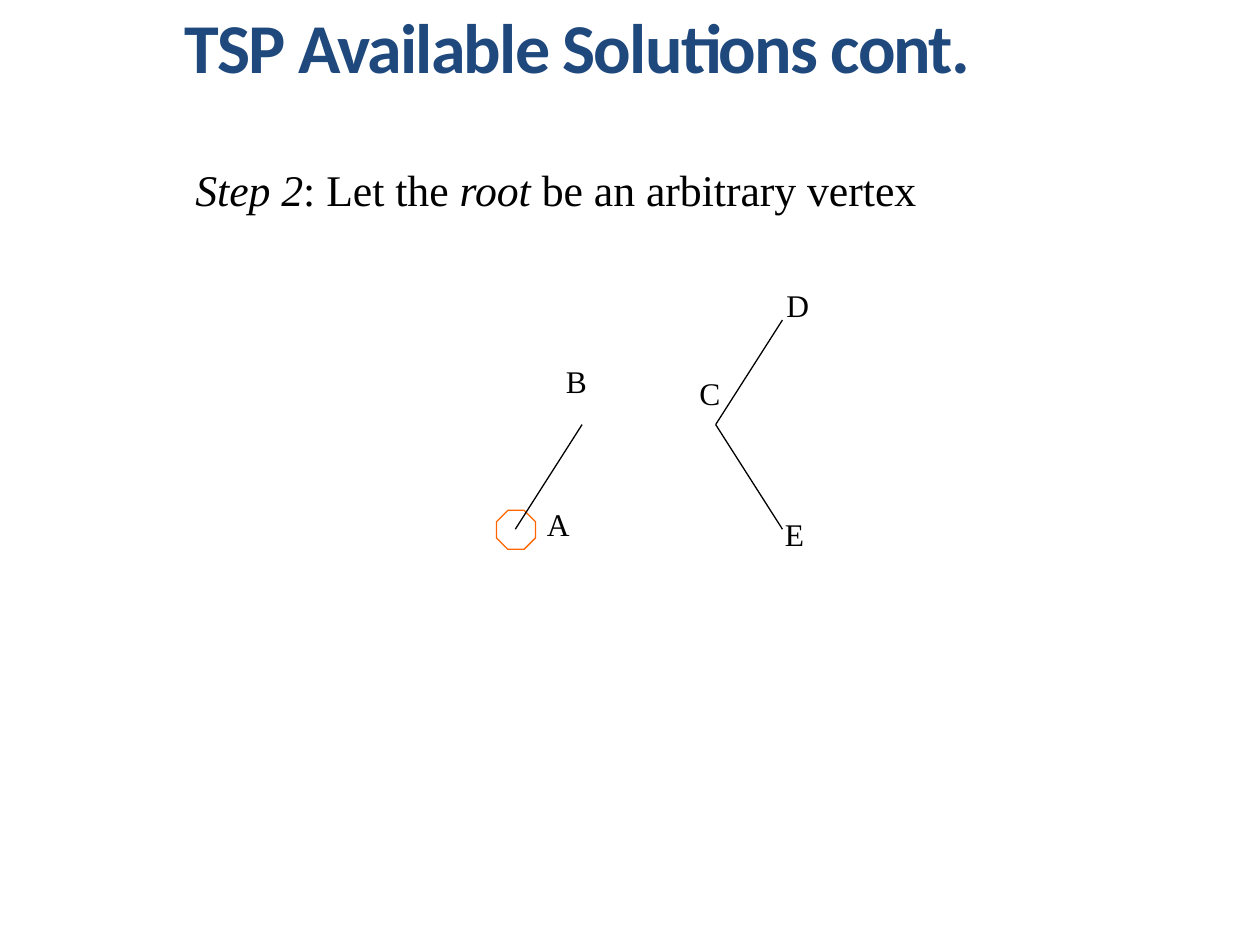
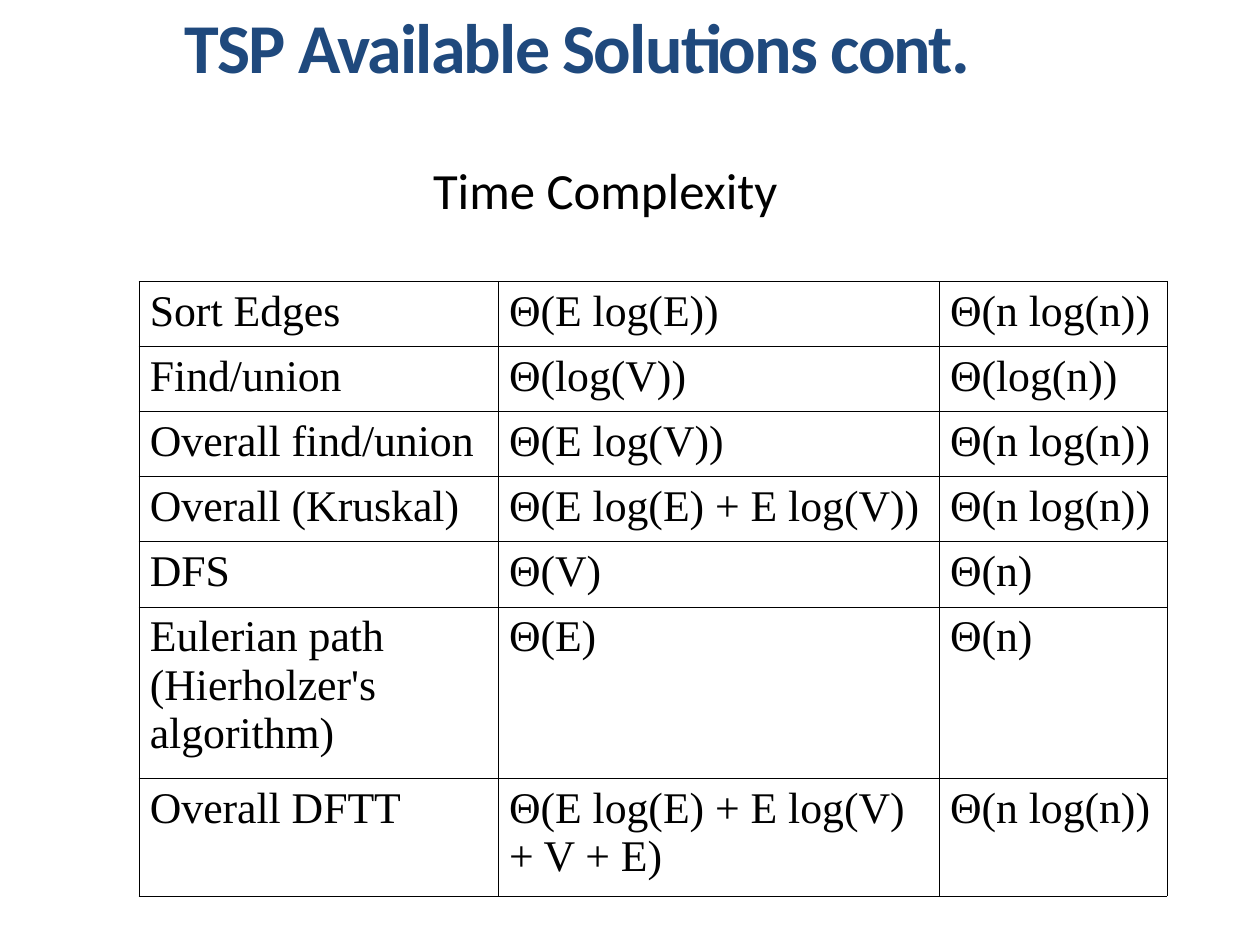
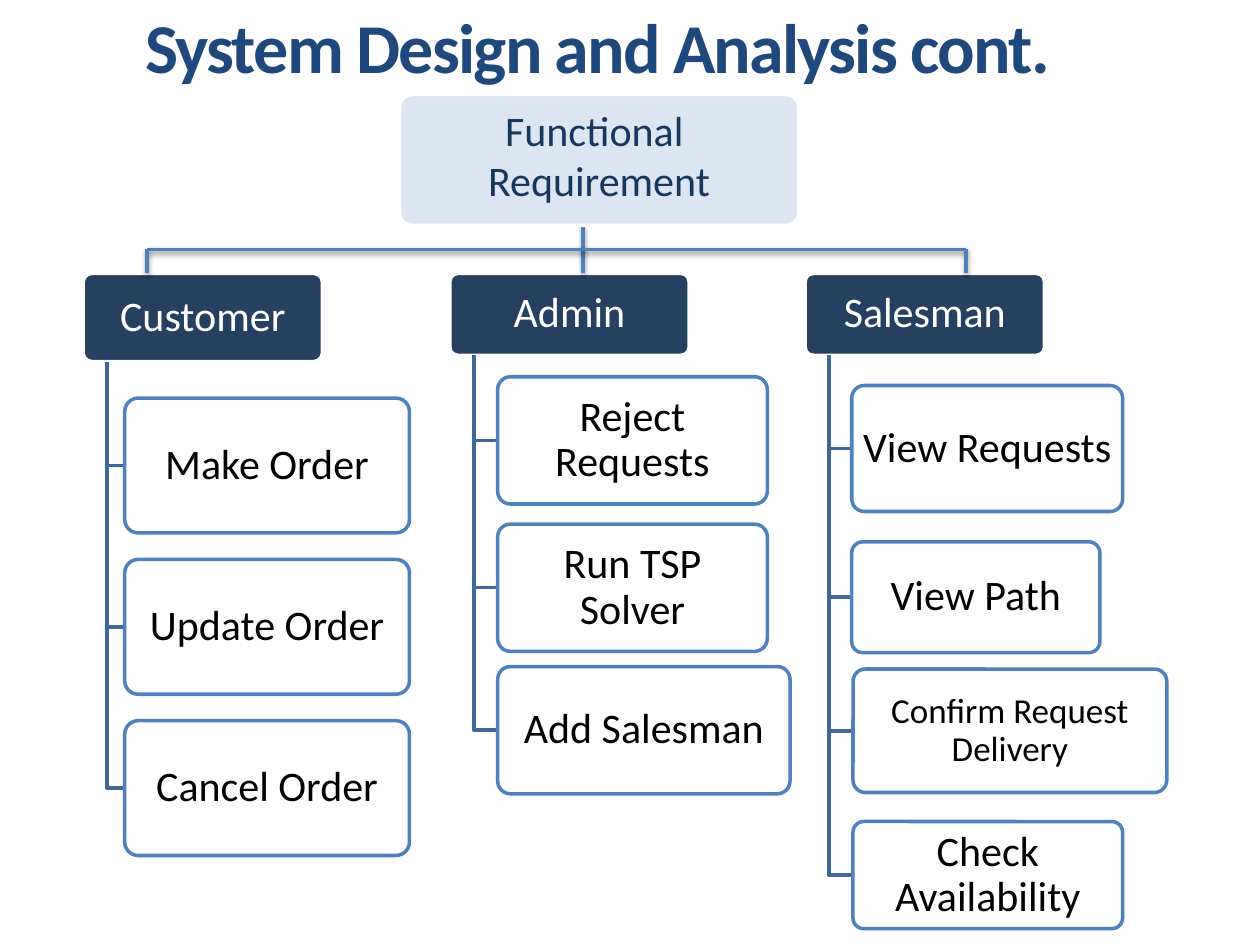
from lxml import etree
from pptx import Presentation
from pptx.dml.color import RGBColor
from pptx.enum.shapes import MSO_CONNECTOR, MSO_SHAPE
from pptx.enum.text import MSO_ANCHOR, PP_ALIGN
from pptx.oxml import parse_xml
from pptx.oxml.ns import nsdecls, qn
from pptx.util import Inches, Pt

BLACK = RGBColor(0x00, 0x00, 0x00)
WHITE = RGBColor(0xFF, 0xFF, 0xFF)
ORANGE = RGBColor(0xFF, 0x66, 0x00)
TITLE_BLUE = RGBColor(0x1F, 0x49, 0x7D)
NAVY = RGBColor(0x25, 0x40, 0x61)
ROOT_TEXT = RGBColor(0x17, 0x37, 0x5E)
ROOT_FILL = RGBColor(0xDC, 0xE6, 0xF2)
BORDER_BLUE = RGBColor(0x4F, 0x81, 0xBD)
ELBOW_BLUE = RGBColor(0x3F, 0x67, 0x97)
SANS, SERIF = "Calibri", "Times New Roman"


def add_text(s, box, text, size, font=SERIF, color=BLACK, fill=None, line=None, inset=0):
    """Add a text box, or a rounded box with centred text if a fill is given."""
    box = [Inches(v) for v in box]
    if fill is None:
        sp = s.shapes.add_textbox(*box)
    else:
        sp = s.shapes.add_shape(MSO_SHAPE.ROUNDED_RECTANGLE, *box)
        sp.adjustments[0] = 0.1
        sp.shadow.inherit = False
        sp.fill.solid()
        sp.fill.fore_color.rgb = fill
        sp.line.color.rgb = line
        sp.line.width = Pt(2)
    tf = sp.text_frame
    tf.word_wrap = True
    tf.margin_left = tf.margin_right = Inches(inset)
    tf.margin_top = tf.margin_bottom = Inches(inset)
    tf.text = text
    for p in tf.paragraphs:
        p.font.name, p.font.size, p.font.color.rgb = font, Pt(size), color
        if fill is not None:
            p.alignment = PP_ALIGN.CENTER
    if fill is not None:
        tf.vertical_anchor = MSO_ANCHOR.MIDDLE
    return sp


def add_line(s, start, end, color, width):
    """Add a straight line and return its empty effect list."""
    ln = s.shapes.add_connector(MSO_CONNECTOR.STRAIGHT, *[Inches(v) for v in start + end])
    ln.line.color.rgb = color
    ln.line.width = Pt(width)
    return etree.SubElement(ln.element.spPr, qn("a:effectLst"))


prs = Presentation()
prs.slide_width, prs.slide_height = Inches(10), Inches(7.5)

TITLES = [
    (0.67, "TSP Available Solutions cont."),
    (0.67, "TSP Available Solutions cont."),
    (0.83, "System Design and Analysis cont."),
]
slides = []
for left, title in TITLES:
    s = prs.slides.add_slide(prs.slide_layouts[6])
    sp = add_text(s, (left, 0.03, 7.83, 0.68), title, 40, SANS, TITLE_BLUE)
    p = sp.text_frame.paragraphs[0]
    p.alignment = PP_ALIGN.CENTER
    p.font.bold = True
    p.runs[0].font._element.set("spc", "-100")
    slides.append(s)
root_slide, complexity_slide, functions_slide = slides

# Slide 1: spanning tree with its root marked
s = root_slide
sp = add_text(s, (1.55, 1.29, 5.85, 1.27), "", 25)
p = sp.text_frame.paragraphs[0]
for text, italic in [("Step 2", True), (": Let the ", False), ("root ", True),
                     ("be an arbitrary vertex", False)]:
    r = p.add_run()
    r.text = text
    r.font.italic = italic

root_mark = s.shapes.add_shape(MSO_SHAPE.OCTAGON, *[Inches(v) for v in (3.94, 4.05, 0.31, 0.31)])
root_mark.shadow.inherit = False
root_mark.fill.background()
root_mark.line.color.rgb = ORANGE
root_mark.line.width = Pt(0.75)

VERTICES = {"A": (4.09, 4.2), "B": (4.62, 3.37), "C": (5.68, 3.37), "D": (6.21, 2.54), "E": (6.21, 4.2)}
for a, b in ("AB", "CD", "CE"):
    add_line(s, VERTICES[a], VERTICES[b], BLACK, 0.75)

LABELS = {"A": (4.34, 4.01), "B": (4.49, 2.87), "C": (5.55, 2.97), "D": (6.24, 2.27), "E": (6.23, 4.09)}
for name, place in LABELS.items():
    add_text(s, place + (0.21, 0.32), name, 18)

# Slide 2: time complexity table
s = complexity_slide
sp = add_text(s, (1.75, 0.92, 6.11, 1.17), "Time Complexity", 29, SANS)
sp.text_frame.vertical_anchor = MSO_ANCHOR.MIDDLE
sp.text_frame.paragraphs[0].alignment = PP_ALIGN.CENTER

ROWS = [
    ("Sort Edges", "Θ(E log(E))", "Θ(n log(n))"),
    ("Find/union", "Θ(log(V))", "Θ(log(n))"),
    ("Overall find/union", "Θ(E log(V))", "Θ(n log(n))"),
    ("Overall (Kruskal)", "Θ(E log(E) + E log(V))", "Θ(n log(n))"),
    ("DFS", "Θ(V)", "Θ(n)"),
    ("Eulerian path\v(Hierholzer's algorithm)", "Θ(E)", "Θ(n)"),
    ("Overall DFTT", "Θ(E log(E) + E log(V) + V + E)", "Θ(n log(n))"),
]
COL_WIDTHS = [2.85, 3.5, 1.81]
ROW_HEIGHTS = [0.51] * 5 + [1.36, 0.94]
table = s.shapes.add_table(len(ROWS), 3, Inches(1.1), Inches(2.23), Inches(sum(COL_WIDTHS)),
                           Inches(sum(ROW_HEIGHTS))).table
table.first_row = table.horz_banding = False
for col, width in zip(table.columns, COL_WIDTHS):
    col.width = Inches(width)
for row, height, texts in zip(table.rows, ROW_HEIGHTS, ROWS):
    row.height = Inches(height)
    for cell, text in zip(row.cells, texts):
        cell.text = text
        cell.margin_left = cell.margin_right = Inches(0.09)
        p = cell.text_frame.paragraphs[0]
        p.font.name, p.font.size, p.font.color.rgb = SERIF, Pt(25), BLACK
        tcPr = cell._tc.get_or_add_tcPr()
        for side in ("lnL", "lnR", "lnT", "lnB"):
            tcPr.append(parse_xml(
                f'<a:{side} {nsdecls("a")} w="762"><a:solidFill><a:srgbClr val="{BLACK}"/>'
                f'</a:solidFill></a:{side}>'))
        cell.fill.solid()
        cell.fill.fore_color.rgb = WHITE

# Slide 3: functional requirements by user
s = functions_slide
# User, left edge, header height, then functions as (text, left, top, width, height, size)
USERS = [
    ("Customer", 0.66, 0.7, [
        ("Make Order", 0.99, 3.16, 2.26, 1.07, 24),
        ("Update Order", 0.99, 4.44, 2.26, 1.07, 24),
        ("Cancel Order", 0.99, 5.72, 2.26, 1.07, 24)]),
    ("Admin", 3.57, 0.65, [
        ("Reject Requests", 3.95, 2.99, 2.14, 1.01, 24),
        ("Run TSP Solver", 3.95, 4.16, 2.14, 1.01, 24),
        ("Add Salesman", 3.95, 5.29, 2.32, 1.01, 24)]),
    ("Salesman", 6.39, 0.65, [
        ("View Requests", 6.76, 3.06, 2.15, 1.0, 24),
        ("View Path", 6.76, 4.3, 1.97, 0.88, 24),
        ("Confirm Request Delivery", 6.77, 5.31, 2.49, 0.98, 20),
        ("Check Availability", 6.77, 6.52, 2.14, 0.85, 24)]),
]
HEADER_TOP, HEADER_WIDTH = 2.17, 1.9
for user, user_left, header_height, functions in USERS:
    boxes = [add_text(s, (user_left, HEADER_TOP, HEADER_WIDTH, header_height), user, 24, SANS,
                      WHITE, NAVY, WHITE, 0.05)]
    trunk_x, trunk_top = Inches(user_left + 0.19), Inches(HEADER_TOP + header_height)
    for text, left, top, width, height, size in functions:
        middle = Inches(top + height / 2)
        builder = s.shapes.build_freeform(trunk_x, trunk_top)
        builder.add_line_segments([(trunk_x, middle), (Inches(left), middle)], close=False)
        elbow = builder.convert_to_shape()
        elbow.shadow.inherit = False
        elbow.fill.background()
        elbow.line.color.rgb = ELBOW_BLUE
        elbow.line.width = Pt(2)
        boxes.append(add_text(s, (left, top, width, height), text, size, SANS, BLACK, WHITE,
                              BORDER_BLUE, 0.05))
    for sp in boxes:
        sp.text_frame.paragraphs[0].line_spacing = 0.9

BUS_Y, BUS_LEFT, BUS_MIDDLE, BUS_RIGHT = 1.98, 1.17, 4.63, 7.67
BUS_LINES = [
    ((BUS_MIDDLE, 1.79), (BUS_MIDDLE, HEADER_TOP)),
    ((BUS_MIDDLE, BUS_Y), (BUS_LEFT, BUS_Y)),
    ((BUS_LEFT, BUS_Y), (BUS_LEFT, HEADER_TOP)),
    ((BUS_MIDDLE, BUS_Y), (BUS_RIGHT, BUS_Y)),
    ((BUS_RIGHT, BUS_Y), (BUS_RIGHT, HEADER_TOP)),
]
for start, end in BUS_LINES:
    effects = add_line(s, start, end, BORDER_BLUE, 2.25)
    effects.append(parse_xml(
        f'<a:outerShdw {nsdecls("a")} blurRad="{Pt(3.1)}" dist="{Pt(1.6)}" dir="5400000" rotWithShape="0">'
        f'<a:srgbClr val="{BLACK}"><a:alpha val="38000"/></a:srgbClr></a:outerShdw>'))

sp = add_text(s, (3.17, 0.75, 3.17, 1.04), "Functional \nRequirement", 24, SANS, ROOT_TEXT, ROOT_FILL,
              WHITE, 0.05)
sp.text_frame.vertical_anchor = MSO_ANCHOR.TOP

prs.save("out.pptx")
